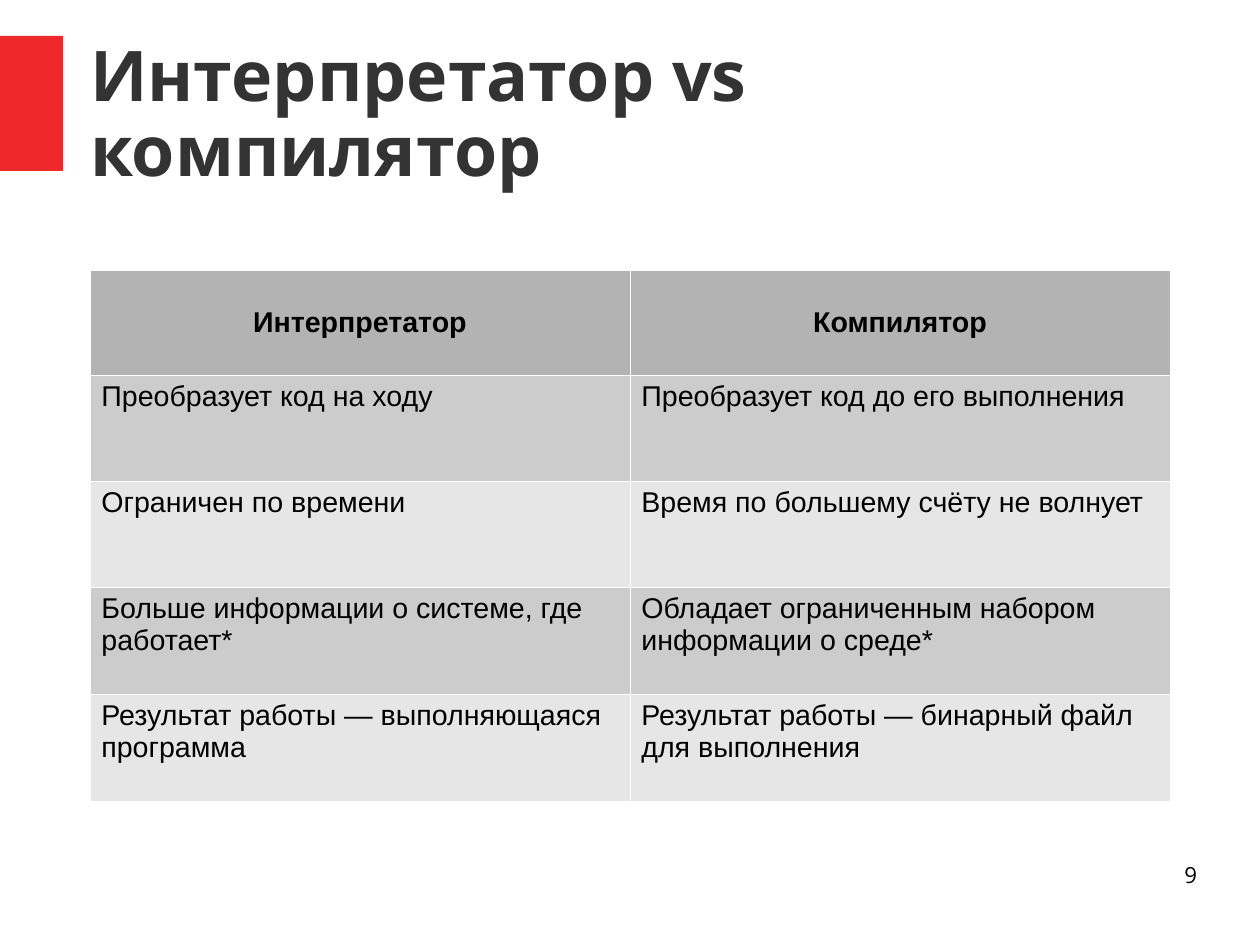
from lxml.etree import SubElement
from pptx import Presentation
from pptx.dml.color import RGBColor
from pptx.enum.shapes import MSO_SHAPE
from pptx.enum.text import MSO_ANCHOR, MSO_AUTO_SIZE, PP_ALIGN
from pptx.oxml.ns import qn
from pptx.util import Pt

PX = 8000
COLORS = {
    "accent": "EF2929",
    "title": "333333",
    "text": "000000",
    "header": "B3B3B3",
    "dark_row": "CCCCCC",
    "light_row": "E6E6E6",
    "border": "FFFFFF",
}
BORDER_WIDTH = Pt(0.06)
COLUMN_WIDTH = 540
ROW_HEIGHTS = [105, 106, 106, 107, 107]
ROWS = [
    ("Интерпретатор", "Компилятор"),
    ("Преобразует код на ходу", "Преобразует код до его выполнения"),
    ("Ограничен по времени", "Время по большему счёту не волнует"),
    ("Больше информации о системе, где работает*",
     "Обладает ограниченным набором информации о среде*"),
    ("Результат работы — выполняющаяся программа",
     "Результат работы — бинарный файл для выполнения"),
]


def px(*lengths):
    return [length * PX for length in lengths]


def color(name):
    return RGBColor.from_string(COLORS[name])


def set_attributes(target, values):
    for name, value in values.items():
        setattr(target, name, value)


def write_text(frame, text, color_name, align=PP_ALIGN.LEFT, **font_values):
    frame.text = text
    paragraph = frame.paragraphs[0]
    paragraph.alignment = align
    set_attributes(paragraph.runs[0].font, font_values)
    paragraph.runs[0].font.color.rgb = color(color_name)
    return paragraph


def format_frame(frame, anchor):
    set_attributes(frame, {
        "margin_left": 0, "margin_top": 0, "margin_right": 0, "margin_bottom": 0,
        "word_wrap": True, "auto_size": MSO_AUTO_SIZE.NONE,
        "vertical_anchor": anchor,
    })


def add_accent_bar(slide):
    bar = slide.shapes.add_shape(MSO_SHAPE.RECTANGLE, *px(0, 36, 63, 135))
    bar.shadow.inherit = False
    bar.fill.solid()
    bar.fill.fore_color.rgb = color("accent")
    bar.line.fill.background()


def add_title(slide, text):
    title = slide.shapes.title
    left, top, width, height = px(90, 21, 1107, 191)
    set_attributes(title, {"left": left, "top": top, "width": width, "height": height})
    format_frame(title.text_frame, MSO_ANCHOR.MIDDLE)
    paragraph = write_text(title.text_frame, text, "title",
                           name="Open Sans", size=Pt(44), bold=True)
    paragraph.line_spacing = 0.9


def add_borders(cell):
    properties = cell._tc.get_or_add_tcPr()
    for side in ("a:lnL", "a:lnR", "a:lnT", "a:lnB"):
        line = SubElement(properties, qn(side), w=str(BORDER_WIDTH))
        fill = SubElement(line, qn("a:solidFill"))
        SubElement(fill, qn("a:srgbClr"), val=COLORS["border"])


def fill_cell(cell, text, row_index):
    is_header = row_index == 0
    add_borders(cell)
    cell.fill.solid()
    band = "dark_row" if row_index % 2 else "light_row"
    cell.fill.fore_color.rgb = color("header" if is_header else band)
    cell.vertical_anchor = MSO_ANCHOR.MIDDLE if is_header else MSO_ANCHOR.TOP
    write_text(cell.text_frame, text, "text",
               PP_ALIGN.CENTER if is_header else PP_ALIGN.LEFT,
               name="Arial", size=Pt(18), bold=is_header)


def add_comparison_table(slide):
    columns = len(ROWS[0])
    frame = slide.shapes.add_table(
        len(ROWS), columns, *px(90, 270, columns * COLUMN_WIDTH, sum(ROW_HEIGHTS)))
    table = frame.table
    for column in table.columns:
        column.width = COLUMN_WIDTH * PX
    for row_index, (texts, height) in enumerate(zip(ROWS, ROW_HEIGHTS)):
        table.rows[row_index].height = height * PX
        for column_index, text in enumerate(texts):
            fill_cell(table.cell(row_index, column_index), text, row_index)


def add_page_number(slide, number):
    box = slide.shapes.add_textbox(*px(903, 861, 294, 65))
    format_frame(box.text_frame, MSO_ANCHOR.TOP)
    write_text(box.text_frame, number, "text", PP_ALIGN.RIGHT,
               name="Open Sans", size=Pt(14))


def main():
    presentation = Presentation()
    presentation.slide_width, presentation.slide_height = px(1260, 945)
    slide = presentation.slides.add_slide(presentation.slide_layouts[5])
    add_accent_bar(slide)
    add_title(slide, "Интерпретатор vs компилятор")
    add_comparison_table(slide)
    add_page_number(slide, "9")
    presentation.save("out.pptx")


if __name__ == "__main__":
    main()
